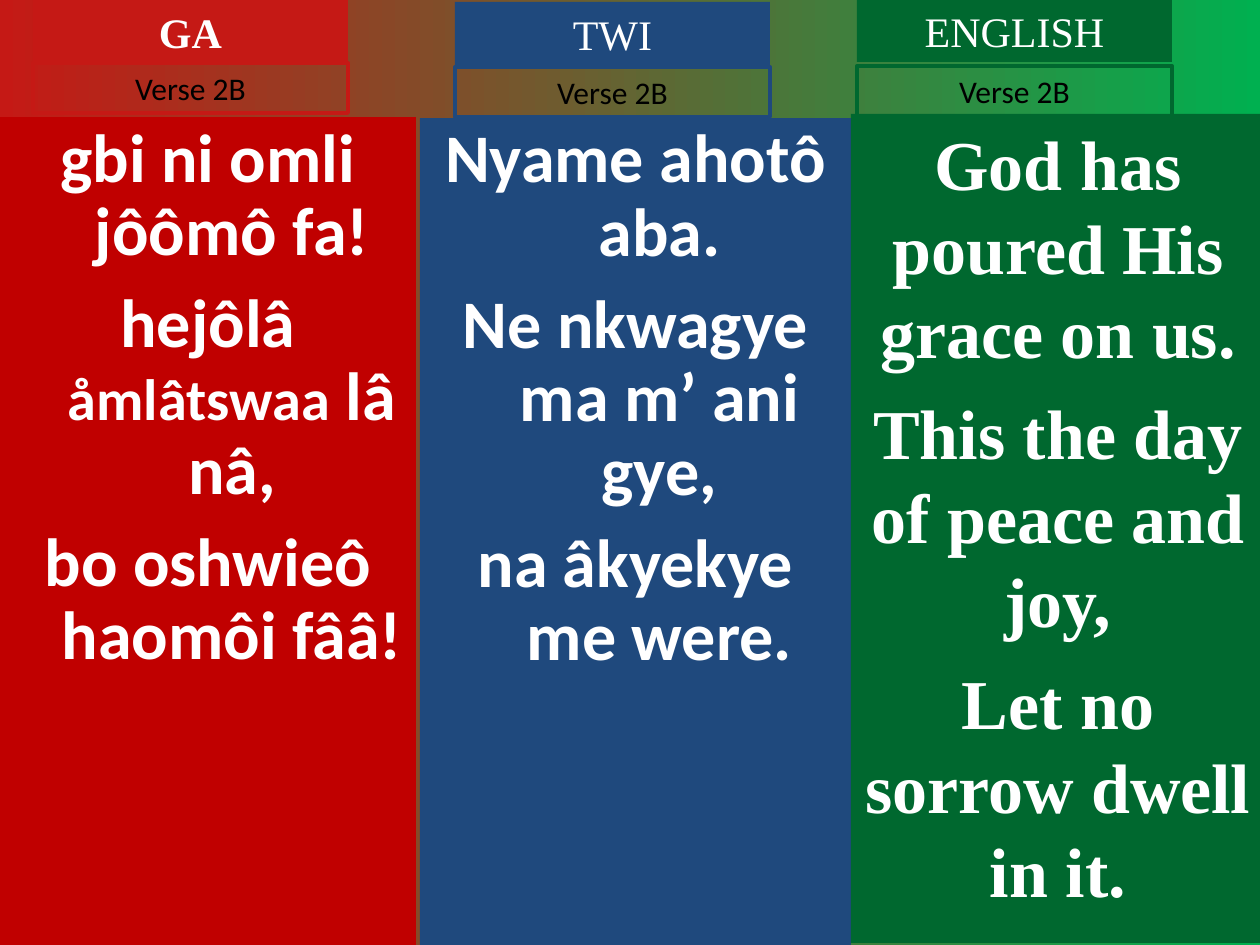
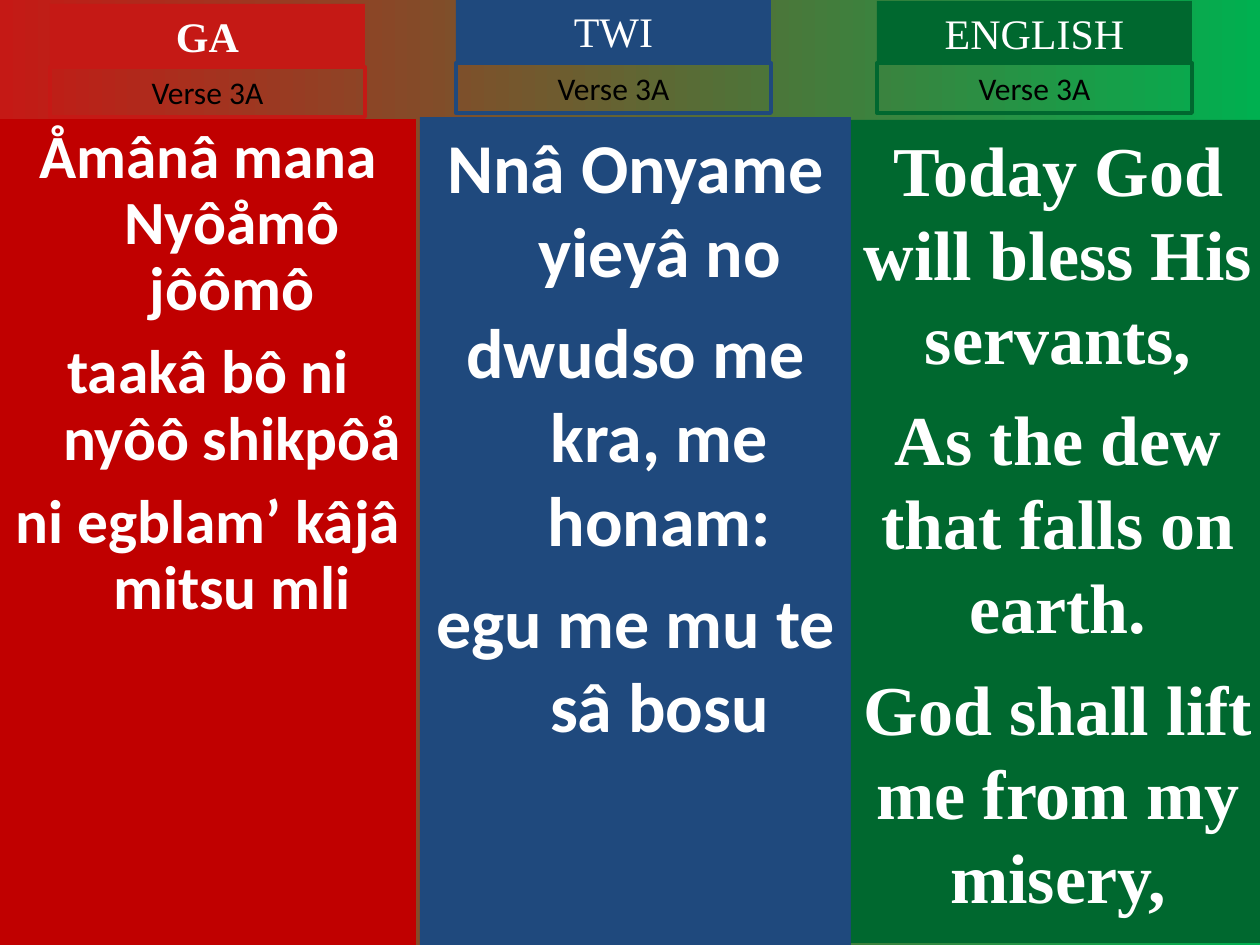
"""Build two hymn slides, each with a verse in Ga, Twi and English."""
from pptx import Presentation
from pptx.dml.color import RGBColor
from pptx.enum.shapes import MSO_SHAPE
from pptx.enum.text import MSO_ANCHOR, MSO_AUTO_SIZE, PP_ALIGN
from pptx.util import Pt

PX = 914400 // 126
WIDE, HIGH = 1260, 945
TAB, HEAD, BAND = 315, 63, 50
WHITE, BLACK = "FFFFFF", "000000"
SERIF, SANS = "Times New Roman", "Calibri"
BACK = ("C51915", "00B050")

TONGUES = [
    dict(name="GA", bold=True, tab="C51915", fill="C00000", left=0, wide=416, low=945, font=SANS, hang=48),
    dict(name="TWI", bold=False, tab="1F497D", fill="1F497D", left=420, wide=431, low=945, font=SANS, hang=48),
    dict(name="ENGLISH", bold=False, tab="00682F", fill="00682F", left=851, wide=414, low=943, font=SERIF, hang=0),
]

VERSES = [
    ("Verse 2B", [
        dict(tab=(33, 0), band=63, top=117, size=38.9, gap=10.5, line=0.9, text=[
            ["gbi ni omli jôômô fa!"],
            ["hejôlâ ", ("åmlâtswaa", 33.3), " lâ nâ,"],
            ["bo oshwieô haomôi fââ!"]]),
        dict(tab=(455, 2), band=67, top=118, size=38.9, gap=10.5, line=0.9, text=[
            ["Nyame ahotô aba."], ["Ne nkwagye ma m’ ani gye,"], ["na âkyekye me were."]]),
        dict(tab=(857, -1), band=66, top=114, size=40, gap=10, line=None, text=[
            ["God has poured His grace on us."],
            ["This the day of peace and joy,"],
            ["Let no sorrow dwell in it."]]),
    ]),
    ("Verse 3A", [
        dict(tab=(50, 4), band=67, top=119, size=35.1, gap=9.5, line=0.9, text=[
            ["Åmânâ mana Nyôåmô jôômô"],
            ["taakâ bô ni nyôô shikpôå"],
            ["ni egblam’ kâjâ mitsu mli"]]),
        dict(tab=(456, -1), band=63, top=117, size=40, gap=10, line=None, text=[
            ["Nnâ Onyame yieyâ no"], ["dwudso me kra, me honam:"], ["egu me mu te sâ bosu"]]),
        dict(tab=(877, 1), band=63, top=120, size=40, gap=10, line=None, text=[
            ["Today God will bless His servants,"],
            ["As the dew that falls on earth."],
            ["God shall lift me from my misery,"]]),
    ]),
]


def rgb(code):
    return RGBColor.from_string(code)


def add_box(slide, left, top, wide, high, fill=None, line=None):
    box = slide.shapes.add_shape(MSO_SHAPE.RECTANGLE, *(n * PX for n in (left, top, wide, high)))
    box.shadow.inherit = False
    if fill:
        box.fill.solid()
        box.fill.fore_color.rgb = rgb(fill)
    else:
        box.fill.background()
    if line:
        box.line.color.rgb = rgb(line)
        box.line.width = Pt(2.25)
    else:
        box.line.fill.background()
    frame = box.text_frame
    frame.word_wrap = True
    frame.vertical_anchor = MSO_ANCHOR.TOP
    return frame


def add_run(para, text, size, font, ink, bold):
    run = para.add_run()
    run.text = text
    run.font.size = Pt(size)
    run.font.name = font
    run.font.bold = bold
    run.font.color.rgb = rgb(ink)


def add_label(frame, text, size, font, ink, bold=False):
    frame.auto_size = MSO_AUTO_SIZE.SHAPE_TO_FIT_TEXT
    para = frame.paragraphs[0]
    para.alignment = PP_ALIGN.CENTER
    add_run(para, text, size, font, ink, bold)


def add_verse(frame, part, tongue):
    for i, runs in enumerate(part["text"]):
        para = frame.add_paragraph() if i else frame.paragraphs[0]
        para.alignment = PP_ALIGN.CENTER
        if i:
            para.space_before = Pt(part["gap"])
        if part["line"]:
            para.line_spacing = part["line"]
        if tongue["hang"]:
            props = para._p.get_or_add_pPr()
            props.set("marL", str(tongue["hang"] * PX))
            props.set("indent", str(-tongue["hang"] * PX))
        for run in runs:
            text, size = (run, part["size"]) if isinstance(run, str) else run
            add_run(para, text, size, tongue["font"], WHITE, True)


def add_column(slide, title, part, tongue):
    top = part["top"]
    panel = add_box(slide, tongue["left"], top, tongue["wide"], tongue["low"] - top, tongue["fill"])
    add_verse(panel, part, tongue)
    left, high = part["tab"]
    head = add_box(slide, left, high, TAB, HEAD, tongue["tab"])
    add_label(head, tongue["name"], 24, SERIF, WHITE, tongue["bold"])
    band = add_box(slide, left, part["band"], TAB, BAND, line=tongue["tab"])
    add_label(band, title, 18, SANS, BLACK)


def paint(slide):
    fill = slide.background.fill
    fill.gradient()
    fill.gradient_angle = 0
    for stop, code in zip(fill.gradient_stops, BACK):
        stop.color.rgb = rgb(code)


def main():
    deck = Presentation()
    deck.slide_width, deck.slide_height = WIDE * PX, HIGH * PX
    for title, parts in VERSES:
        slide = deck.slides.add_slide(deck.slide_layouts[6])
        paint(slide)
        for part, tongue in zip(parts, TONGUES):
            add_column(slide, title, part, tongue)
    deck.save("out.pptx")


if __name__ == "__main__":
    main()
